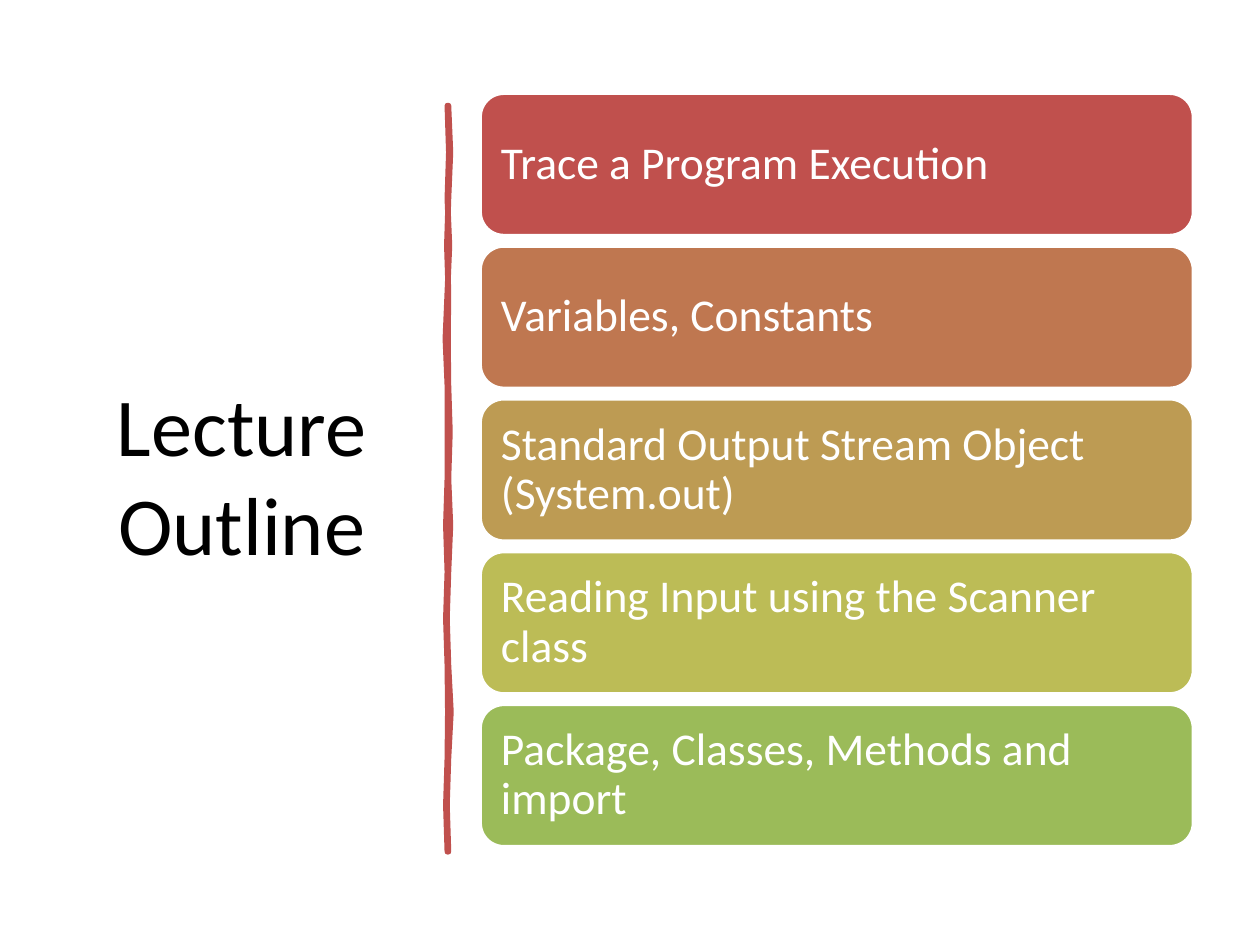
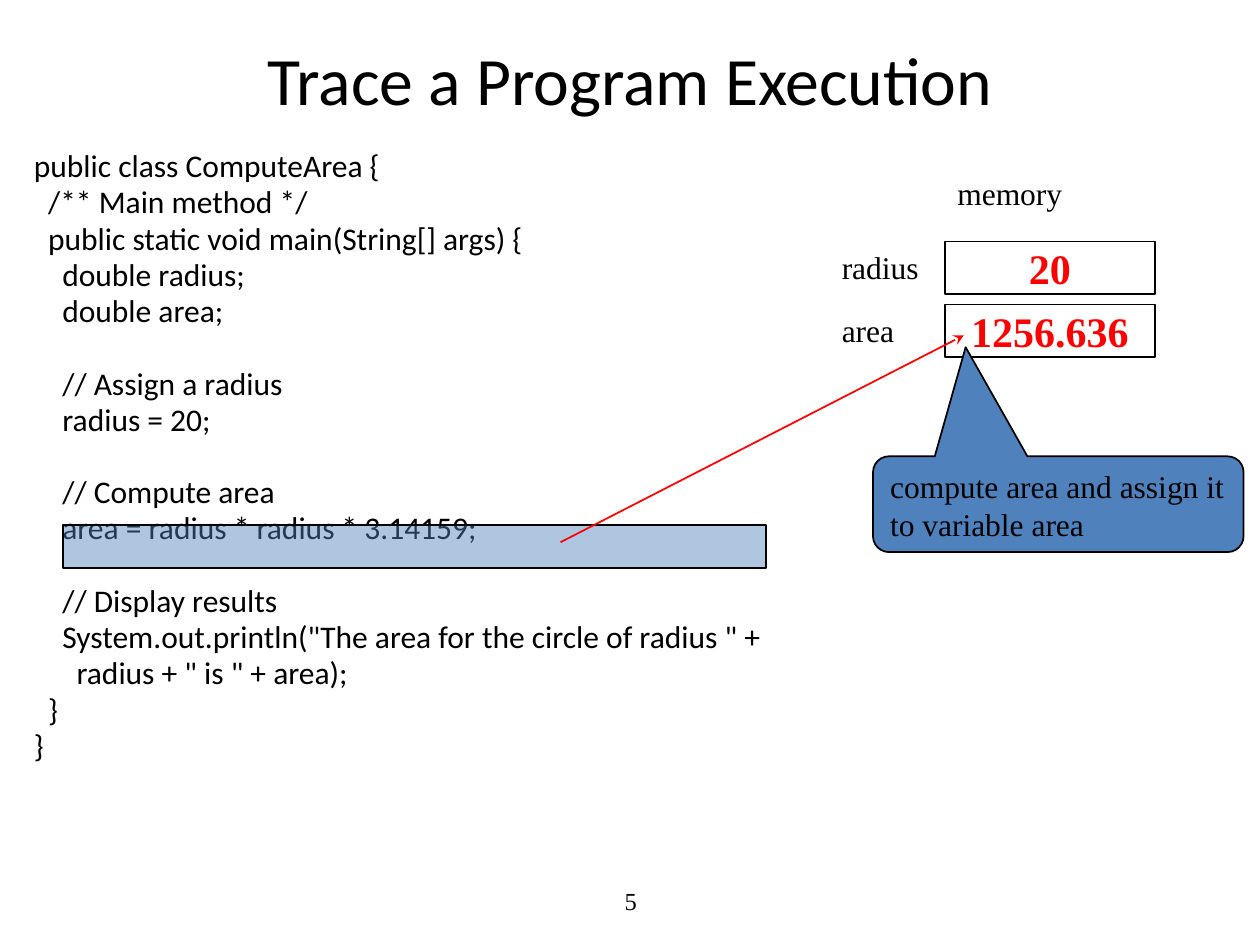
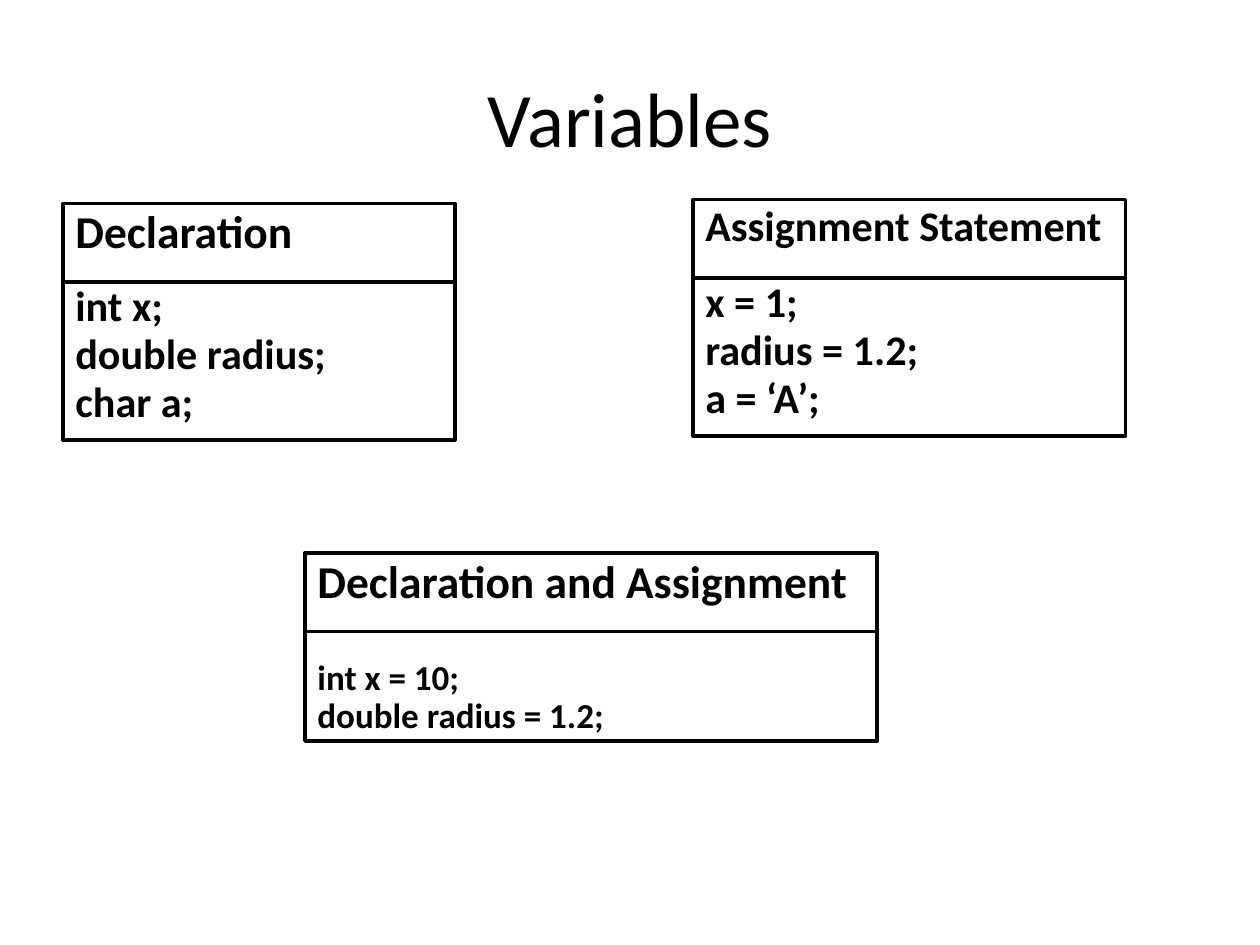
from dataclasses import dataclass

from pptx import Presentation
from pptx.dml.color import RGBColor
from pptx.enum.dml import MSO_THEME_COLOR
from pptx.enum.shapes import MSO_CONNECTOR as Connector, MSO_SHAPE as Shape
from pptx.enum.text import MSO_ANCHOR as Anchor, MSO_AUTO_SIZE as AutoSize, PP_ALIGN as Align
from pptx.oxml.ns import qn
from pptx.oxml.xmlchemy import OxmlElement
from pptx.util import Cm, Pt


@dataclass(frozen=True)
class Theme:
    # Fonts
    sans: str = "Calibri"
    serif: str = "Times New Roman"
    # Colours
    ink: str = "000000"
    paper: str = "FFFFFF"
    value: str = "FF0000"
    accent: str = "4F81BD"
    divider: str = "C0504D"
    topics: tuple = ("C0504D", "BF7750", "BD9B53", "BCBC56", "9BBB59")
    # Type sizes
    outline_title: float = 47
    trace_title: float = 38.7
    title: float = 44
    topic: float = 26
    memory: float = 24
    code: float = 18
    note: float = 18
    page_number: float = 14


THEME = Theme()
TITLE_AND_BODY, TITLE_ONLY = 1, 5
LINE_HEIGHT = 1.22  # natural line height of the sans font, in ems

TOPICS = [
    "Trace a Program Execution",
    "Variables, Constants",
    "Standard Output Stream Object (System.out)",
    "Reading Input using the Scanner class",
    "Package, Classes, Methods and import",
]

PROGRAM = '''public class ComputeArea {
  /** Main method */
  public static void main(String[] args) {
    double radius;
    double area;

    // Assign a radius
    radius = 20;

    // Compute area
    area = radius * radius * 3.14159;

    // Display results
    System.out.println("The area for the circle of radius " +
      radius + " is " + area);
  }
}'''


def rgb(value):
    return RGBColor.from_string(value)


def place(item, left, top, width, height):
    item.left, item.top, item.width, item.height = map(Cm, (left, top, width, height))


def write(frame, text, *, size, font=THEME.sans, color=THEME.ink, bold=False,
          align=Align.LEFT, anchor=Anchor.TOP, spacing=1.0, gap=0.0, wrap=True):
    """Write one paragraph per line; an empty line becomes space before the next."""
    frame.word_wrap = wrap
    frame.auto_size = AutoSize.NONE
    frame.vertical_anchor = anchor
    before = 0
    for number, line in enumerate(text.split("\n")):
        if not line:
            before += size * LINE_HEIGHT * spacing + gap
            continue
        para = frame.add_paragraph() if number else frame.paragraphs[0]
        para.alignment = align
        para.line_spacing = spacing
        para.space_before = Pt(before)
        para.space_after = Pt(0)
        span = para.add_run()
        span.text = line
        span.font.name = font
        span.font.size = Pt(size)
        span.font.bold = bold
        span.font.color.rgb = rgb(color)
        before = gap


def remove_bullets(frame):
    for para in frame.paragraphs:
        properties = para._p.get_or_add_pPr()
        properties.set("marL", "0")
        properties.set("indent", "0")
        properties.append(OxmlElement("a:buNone"))


def add_page(deck, layout, title, area, size):
    page = deck.slides.add_slide(deck.slide_layouts[layout])
    place(page.shapes.title, *area)
    write(page.shapes.title.text_frame, title, size=size,
          align=Align.CENTER, anchor=Anchor.MIDDLE)
    return page


def add_label(page, text, area, **text_format):
    box = page.shapes.add_textbox(*map(Cm, area))
    write(box.text_frame, text, font=THEME.serif, **text_format)


def paint(shape, fill, line, width):
    shape.shadow.inherit = False
    if fill:
        shape.fill.solid()
        shape.fill.fore_color.rgb = rgb(fill)
    else:
        shape.fill.background()
    shape.line.color.rgb = rgb(line)
    shape.line.width = Pt(width)


def add_box(page, area, *, kind=Shape.RECTANGLE, fill=None, line=THEME.ink, width=1.0):
    box = page.shapes.add_shape(kind, *map(Cm, area))
    paint(box, fill, line, width)
    return box


def set_opacity(shape, percent):
    alpha = OxmlElement("a:alpha")
    alpha.set("val", str(percent * 1000))
    shape._element.spPr.find(qn("a:solidFill"))[0].append(alpha)


def add_arrow(page, start, end, color):
    arrow = page.shapes.add_connector(Connector.STRAIGHT, *map(Cm, start + end))
    arrow.line.color.rgb = rgb(color)
    arrow.line.width = Pt(1)
    head = OxmlElement("a:tailEnd")
    head.set("type", "stealth")
    arrow.line._get_or_add_ln().append(head)
    arrow._element.spPr.append(OxmlElement("a:effectLst"))


def add_hand_drawn_divider(page):
    # Coordinates and sway are in hundredths of a centimetre
    top, step = 213, 94
    right_sway = [0, 4, 0, -3, 0, -1, 0, 3, 0, 4, 0, -3, 0, 5, 0, -3, 0]
    left_sway = [0, 3, 0, 4, 0, -4, 0, 0, 0, -3, 0, -3, 0, 1, 0, -3, 0]
    right = [(904 + sway, top + step * row) for row, sway in enumerate(right_sway)]
    left = [(902 + sway, top + step * row) for row, sway in enumerate(left_sway)]
    builder = page.shapes.build_freeform(*right[0], scale=Cm(0.01))
    builder.add_line_segments(right[1:] + left[::-1], close=True)
    paint(builder.convert_to_shape(), THEME.divider, THEME.divider, 3.25)


def add_topic(page, row, text, color):
    bar = add_box(page, (9.68, 1.88 + 3.08 * row, 14.38, 2.87),
                  kind=Shape.ROUNDED_RECTANGLE, fill=color, line=THEME.paper, width=2)
    frame = bar.text_frame
    frame.margin_left = frame.margin_right = Cm(0.28)
    frame.margin_top = frame.margin_bottom = Cm(0.28)
    write(frame, text, size=THEME.topic, color=THEME.paper,
          anchor=Anchor.MIDDLE, spacing=0.9)


def add_memory_cell(page, top, name, value):
    cell = add_box(page, (19.05, top, 4.23, 1.06))
    write(cell.text_frame, value, size=THEME.memory, font=THEME.serif, bold=True,
          color=THEME.value, align=Align.CENTER, anchor=Anchor.MIDDLE, wrap=False)
    add_label(page, name, (16.72, top, 2.33, 1.02), size=THEME.note)


def add_code_card(page, left, top, width, heading, code, *, heading_size, code_size,
                  body_offset=1.59, body_height=3.18, spacing=0.8, gap=4.5, inset=0.13):
    body = add_box(page, (left, top + body_offset, width, body_height),
                   fill=THEME.paper, width=2)
    body.text_frame.margin_top = Cm(inset)
    write(body.text_frame, code, size=code_size, bold=True, spacing=spacing, gap=gap)
    header = add_box(page, (left, top, width, 1.58), fill=THEME.paper, width=2)
    write(header.text_frame, heading, size=heading_size, bold=True, spacing=0.9)


def build_outline(deck):
    page = add_page(deck, TITLE_ONLY, "Lecture Outline",
                    (1.32, 1.78, 7.11, 15.52), THEME.outline_title)
    add_hand_drawn_divider(page)
    for row, (text, color) in enumerate(zip(TOPICS, THEME.topics)):
        add_topic(page, row, text, color)


def build_trace(deck):
    page = add_page(deck, TITLE_AND_BODY, "Trace a Program Execution",
                    (1.9, 0.85, 21.6, 1.48), THEME.trace_title)
    add_label(page, "5", (8.69, 17.65, 8.05, 1.02), size=THEME.page_number,
              align=Align.CENTER, anchor=Anchor.MIDDLE)

    # Program listing
    listing = page.placeholders[1]
    place(listing, 0.43, 2.97, 15.44, 14.4)
    write(listing.text_frame, PROGRAM, size=THEME.code, spacing=0.8, gap=3.35)
    remove_bullets(listing.text_frame)

    # Memory contents
    add_label(page, "memory", (19.05, 3.39, 4.02, 1.02), size=THEME.note)
    add_memory_cell(page, 4.87, "radius", "20")
    add_memory_cell(page, 6.14, "area", "1256.636")

    # Current statement and its effect
    highlight = add_box(page, (1.27, 10.58, 14.18, 0.87), fill=THEME.accent)
    set_opacity(highlight, 45)
    add_arrow(page, (11.3, 10.93), (19.43, 6.76), THEME.value)
    callout = add_box(page, (17.6, 9.2, 7.47, 1.93),
                      kind=Shape.ROUNDED_RECTANGULAR_CALLOUT, fill=THEME.accent)
    callout.adjustments[0], callout.adjustments[1] = -0.25, -1.64
    write(callout.text_frame, "compute area and assign it to variable area",
          size=THEME.note, font=THEME.serif)


def build_variables(deck):
    page = add_page(deck, TITLE_ONLY, "Variables", (1.27, 0.76, 22.86, 3.18), THEME.title)
    add_code_card(page, 1.27, 4.1, 7.9, "Declaration",
                  "int x;\ndouble radius;\nchar a;", heading_size=26, code_size=24.1)
    add_code_card(page, 13.97, 4.02, 8.72, "Assignment Statement",
                  "x = 1;\nradius = 1.2;\na = ‘A’;", heading_size=24.1, code_size=24.1)
    add_code_card(page, 6.15, 11.15, 11.53, "Declaration and Assignment",
                  "int x = 10;\ndouble radius = 1.2;", heading_size=26, code_size=20,
                  body_offset=1.22, body_height=2.57, spacing=0.9, gap=0, inset=0.95)


def main():
    deck = Presentation()
    deck.slide_width, deck.slide_height = Cm(25.4), Cm(19.05)
    background = deck.slide_master.background.fill
    background.solid()
    background.fore_color.theme_color = MSO_THEME_COLOR.BACKGROUND_1
    build_outline(deck)
    build_trace(deck)
    build_variables(deck)
    deck.save("out.pptx")


if __name__ == "__main__":
    main()
